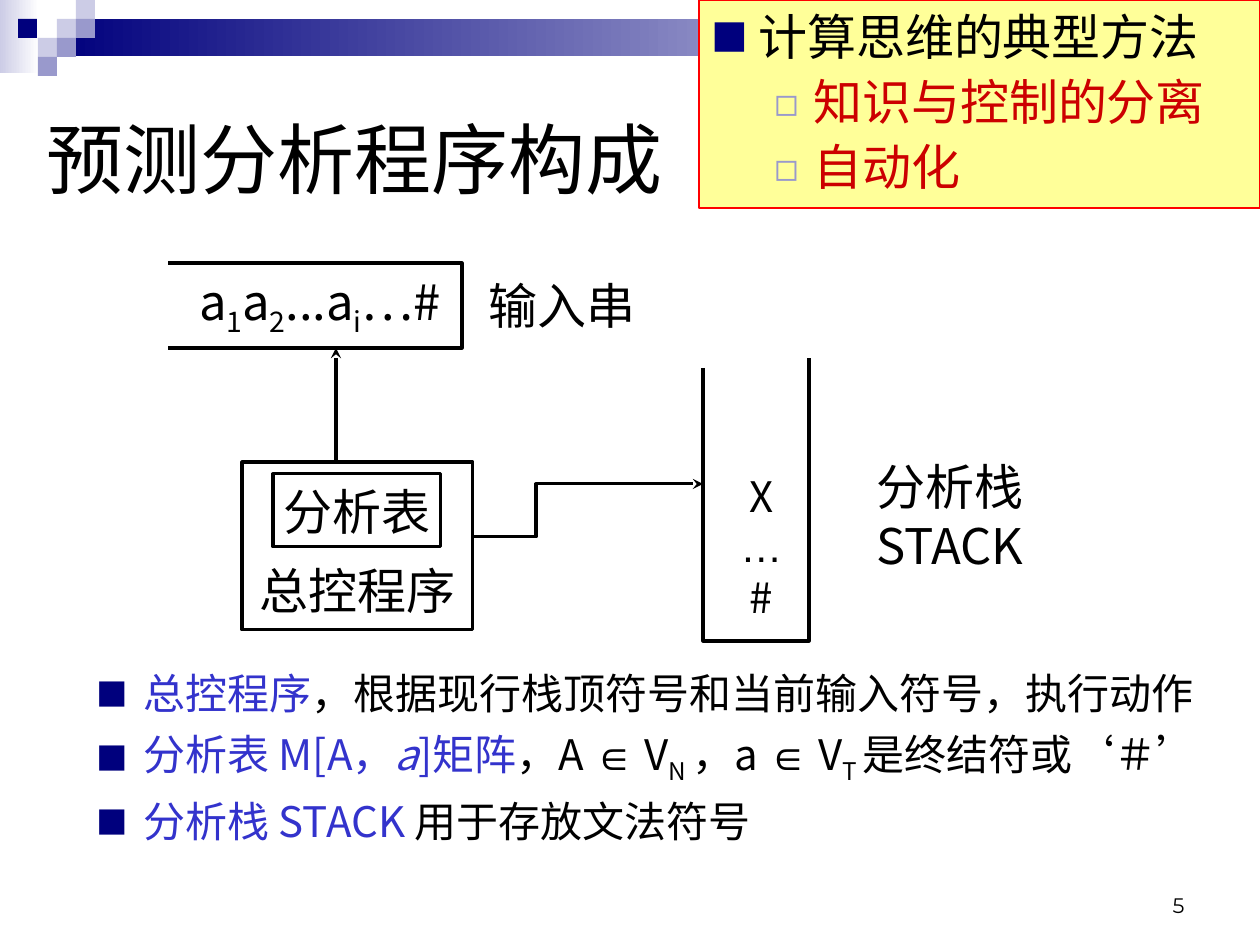
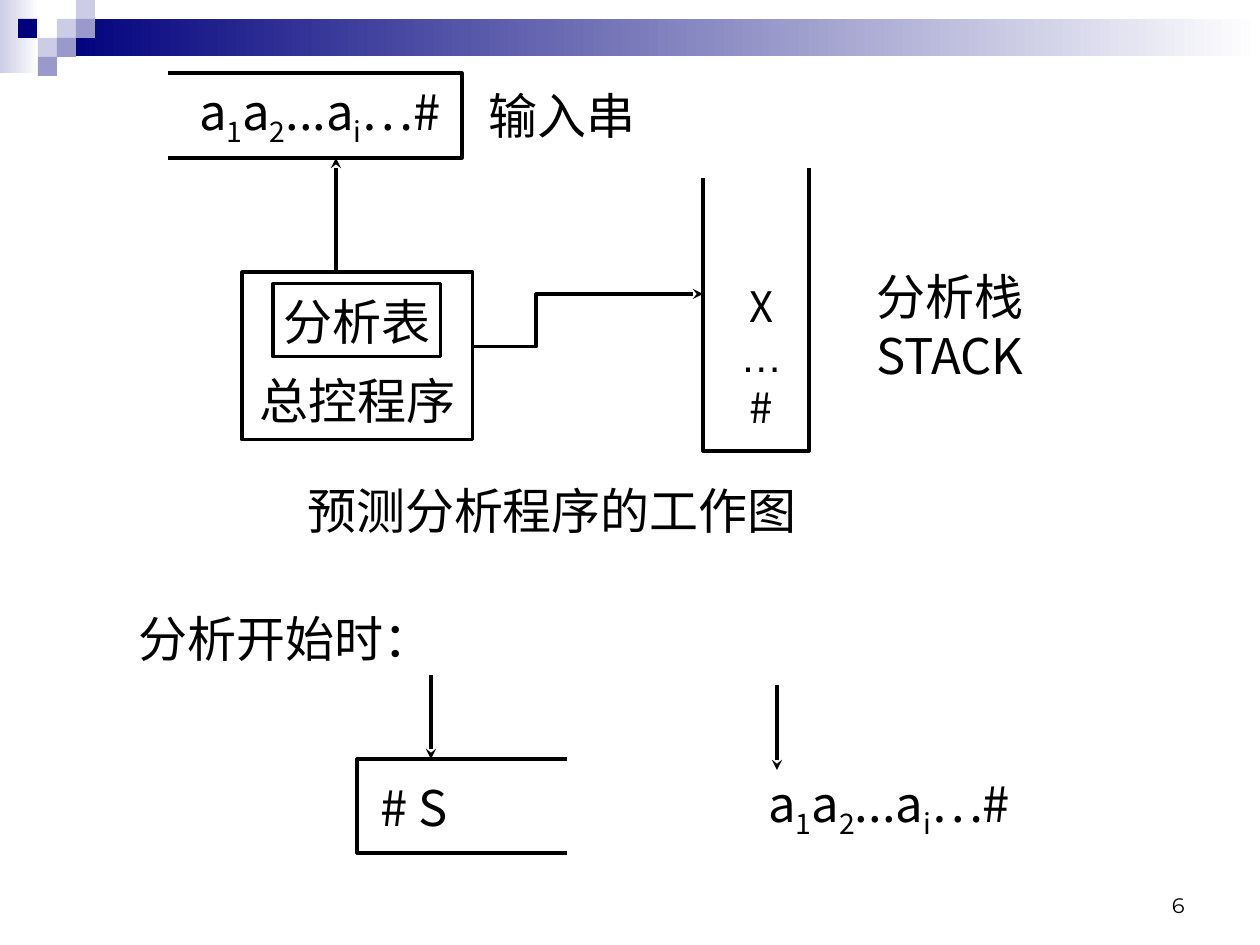
from dataclasses import dataclass

from lxml.etree import SubElement
from pptx import Presentation
from pptx.dml.color import RGBColor
from pptx.enum.shapes import MSO_CONNECTOR, MSO_SHAPE
from pptx.enum.text import MSO_ANCHOR, MSO_AUTO_SIZE, PP_ALIGN
from pptx.oxml.ns import qn
from pptx.util import Pt

PX = 914400 / 126


@dataclass(frozen=True)
class Theme:
    ink: str = "000000"
    navy: str = "00007D"
    mist: str = "CCCCE6"
    haze: str = "9999CC"
    blue: str = "3333CC"
    red: str = "CC0000"
    edge: str = "FF0000"
    note: str = "FFFF99"
    white: str = "FFFFFF"
    face: str = "Noto Sans CJK SC"
    sans: str = "Arial"
    serif: str = "Times New Roman"
    digit: str = "Montserrat"
    head: int = 44
    large: int = 28
    text: int = 24
    small: int = 12
    rule: float = 1.75


look = Theme()
LEFT, MID, RIGHT = PP_ALIGN.LEFT, PP_ALIGN.CENTER, PP_ALIGN.RIGHT


def write(shape, lines, size=look.large, align=LEFT, anchor=MSO_ANCHOR.MIDDLE, wrap=False):
    frame = shape.text_frame
    frame.word_wrap = wrap
    frame.auto_size = MSO_AUTO_SIZE.NONE
    frame.vertical_anchor = anchor
    for row, line in enumerate(lines):
        para = frame.paragraphs[0] if row == 0 else frame.add_paragraph()
        para.alignment = align
        for text, style in line:
            run = para.add_run()
            run.text = text
            font = run.font
            font.size = Pt(size)
            font.name = style.get("face", look.face)
            font.italic = style.get("slant", False)
            font.color.rgb = RGBColor.from_string(style.get("tint", look.ink))
            props = run._r.get_or_add_rPr()
            SubElement(props, qn("a:ea")).set("typeface", look.face)
            if "base" in style:
                props.set("baseline", str(style["base"]))
    return frame


def stroke(shape, arrow=False):
    shape.line.color.rgb = RGBColor.from_string(look.ink)
    shape.line.width = Pt(look.rule)
    props = shape.element.spPr
    if props.find(qn("a:effectLst")) is None:
        SubElement(props, qn("a:effectLst"))
    if arrow:
        SubElement(props.find(qn("a:ln")), qn("a:tailEnd")).set("type", "stealth")


plain = {}
sub = {"base": -25000}
blue = {"tint": look.blue}
red = {"tint": look.red}
sans = {"face": look.sans}
input_run = [("a", plain), ("1", sub), ("a", plain), ("2", sub),
             ("...a", plain), ("i", sub), ("…#", plain)]

deck = Presentation()
deck.slide_width, deck.slide_height = round(1260 * PX), round(945 * PX)
first = deck.slides.add_slide(deck.slide_layouts[5])
second = deck.slides.add_slide(deck.slide_layouts[6])

bands = [
    (0, 0, 39, 73, look.mist, True),
    (57, 19, 1203, 37, look.navy, True),
    (57, 19, 19, 19, look.mist, False),
    (76, 0, 19, 19, look.mist, False),
    (76, 19, 19, 19, look.haze, False),
    (38, 38, 19, 19, look.mist, False),
    (18, 19, 19, 19, look.navy, False),
    (57, 38, 19, 19, look.haze, False),
    (38, 57, 19, 19, look.haze, False),
]
boxes = [
    (242, 199, 231, 168, "总控程序", MSO_ANCHOR.BOTTOM),
    (273, 211, 168, 73, "分析表", MSO_ANCHOR.MIDDLE),
]
labels = [
    (725, 199, 73, 168, look.text, [[("X", plain)], [("…", sans)], [("#", plain)]]),
    (431, 10, 262, 63, look.large, [[("输入串", plain)]]),
    (819, 221, 262, 63, look.large, [[("分析栈", plain)], [("STACK", plain)]]),
    (189, 10, 262, 63, look.large, [input_run]),
]
paths = [
    ([(703, 105), (703, 378), (809, 378), (809, 95)], False),
    ([(168, 0), (462, 0), (462, 85), (168, 85)], False),
    ([(473, 274), (536, 274), (536, 221), (703, 221)], True),
]
start = [([(567, 686), (357, 686), (357, 780), (567, 780)], False)]
drops = [(431, 602, 686), (777, 612, 697)]

for page, top, number, tracks, shafts in [
    (first, 263, "5", paths, [(336, 199, 85)]),
    (second, 73, "6", paths + start, [(336, 199, 85)] + drops),
]:
    for x, y, w, h, tint, fade in bands:
        band = page.shapes.add_shape(MSO_SHAPE.RECTANGLE, *(round(n * PX) for n in (x, y, w, h)))
        band.shadow.inherit = False
        band.line.fill.background()
        if fade:
            band.fill.gradient()
            band.fill.gradient_angle = 0
            for stop, shade in zip(band.fill.gradient_stops, (tint, look.white)):
                stop.color.rgb = RGBColor.from_string(shade)
        else:
            band.fill.solid()
            band.fill.fore_color.rgb = RGBColor.from_string(tint)

    foot = page.shapes.add_textbox(*(round(n * PX) for n in (903, 861, 294, 63)))
    write(foot, [[(number, {"face": look.digit})]], look.small, RIGHT, MSO_ANCHOR.BOTTOM, True)

    for x, y, w, h, text, anchor in boxes:
        box = page.shapes.add_shape(MSO_SHAPE.RECTANGLE, *(round(n * PX) for n in (x, top + y, w, h)))
        box.fill.background()
        stroke(box)
        frame = write(box, [[(text, plain)]], align=MID, anchor=anchor)
        if anchor == MSO_ANCHOR.BOTTOM:
            frame.margin_bottom = round(11 * PX)

    for x, y, w, h, size, lines in labels:
        label = page.shapes.add_textbox(*(round(n * PX) for n in (x, top + y, w, h)))
        write(label, lines, size, MID)

    for points, arrow in tracks:
        points = [(x, top + y) for x, y in points]
        pen = page.shapes.build_freeform(*points[0], scale=PX)
        pen.add_line_segments(points[1:], close=False)
        track = pen.convert_to_shape()
        track.fill.background()
        stroke(track, arrow)

    for x, tail, tip in shafts:
        ends = (x, top + tail, x, top + tip)
        shaft = page.shapes.add_connector(MSO_CONNECTOR.STRAIGHT, *(round(n * PX) for n in ends))
        stroke(shaft, True)

title = first.shapes.title
title.left, title.top, title.width, title.height = (round(n * PX) for n in (34, 63, 1163, 189))
write(title, [[("预测分析程序构成", plain)]], look.head, wrap=True)

note = first.shapes.add_shape(MSO_SHAPE.RECTANGLE, *(round(n * PX) for n in (699, 0, 561, 208)))
note.shadow.inherit = False
note.fill.solid()
note.fill.fore_color.rgb = RGBColor.from_string(look.note)
note.line.color.rgb = RGBColor.from_string(look.edge)
note.line.width = Pt(0.75)
points = first.shapes.add_textbox(*(round(n * PX) for n in (84, 661, 1142, 248)))

methods = [
    [("计算思维的典型方法", plain)],
    [("知识与控制的分离", red)],
    [("自动化", red)],
]
parts = [
    [("总控程序", blue), ("，根据现行栈顶符号和当前输入符号，执行动作", plain)],
    [("分析表 M[A，", blue), ("a", {"tint": look.blue, "slant": True}), ("]矩阵", blue),
     ("，A ", plain), ("∈", sans), (" V", plain), ("N ", sub),
     ("，a ", plain), ("∈", sans), (" V", plain), ("T ", sub),
     ("是终结符或", plain), ("‘＃’", {"face": look.serif})],
    [("分析栈 STACK ", blue), ("用于存放文法符号", plain)],
]
square = (47, 47, look.navy, 75, "■")
hollow = (102, 39, look.haze, 80, "◻")

for shape, lines, size, gap, marks in [
    (note, methods, look.large, 3.5, [square, hollow, hollow]),
    (points, parts, look.text, 6, [square] * 3),
]:
    frame = write(shape, lines, size, anchor=MSO_ANCHOR.TOP, wrap=True)
    for row, (para, mark) in enumerate(zip(frame.paragraphs, marks)):
        edge, hang, tint, scale, sign = mark
        props = para._p.get_or_add_pPr()
        props.set("marL", str(round(edge * PX)))
        props.set("indent", str(round(-hang * PX)))
        props.set("lvl", "1" if mark is hollow else "0")
        shade = SubElement(props, qn("a:buClr"))
        SubElement(shade, qn("a:srgbClr")).set("val", tint)
        SubElement(props, qn("a:buSzPct")).set("val", str(scale * 1000))
        SubElement(props, qn("a:buFont")).set("typeface", look.face)
        SubElement(props, qn("a:buChar")).set("char", sign)
        if row:
            para.space_before = Pt(gap)

for x, y, w, h, line, align in [
    (305, 473, 494, 73, [("预测分析程序的工作图", plain)], MID),
    (368, 770, 179, 73, [("# S", plain)], LEFT),
    (756, 770, 179, 73, input_run, LEFT),
    (126, 602, 319, 72, [("分析开始时：", plain)], LEFT),
]:
    label = second.shapes.add_textbox(*(round(n * PX) for n in (x, y, w, h)))
    write(label, [line], align=align)

deck.save("out.pptx")
